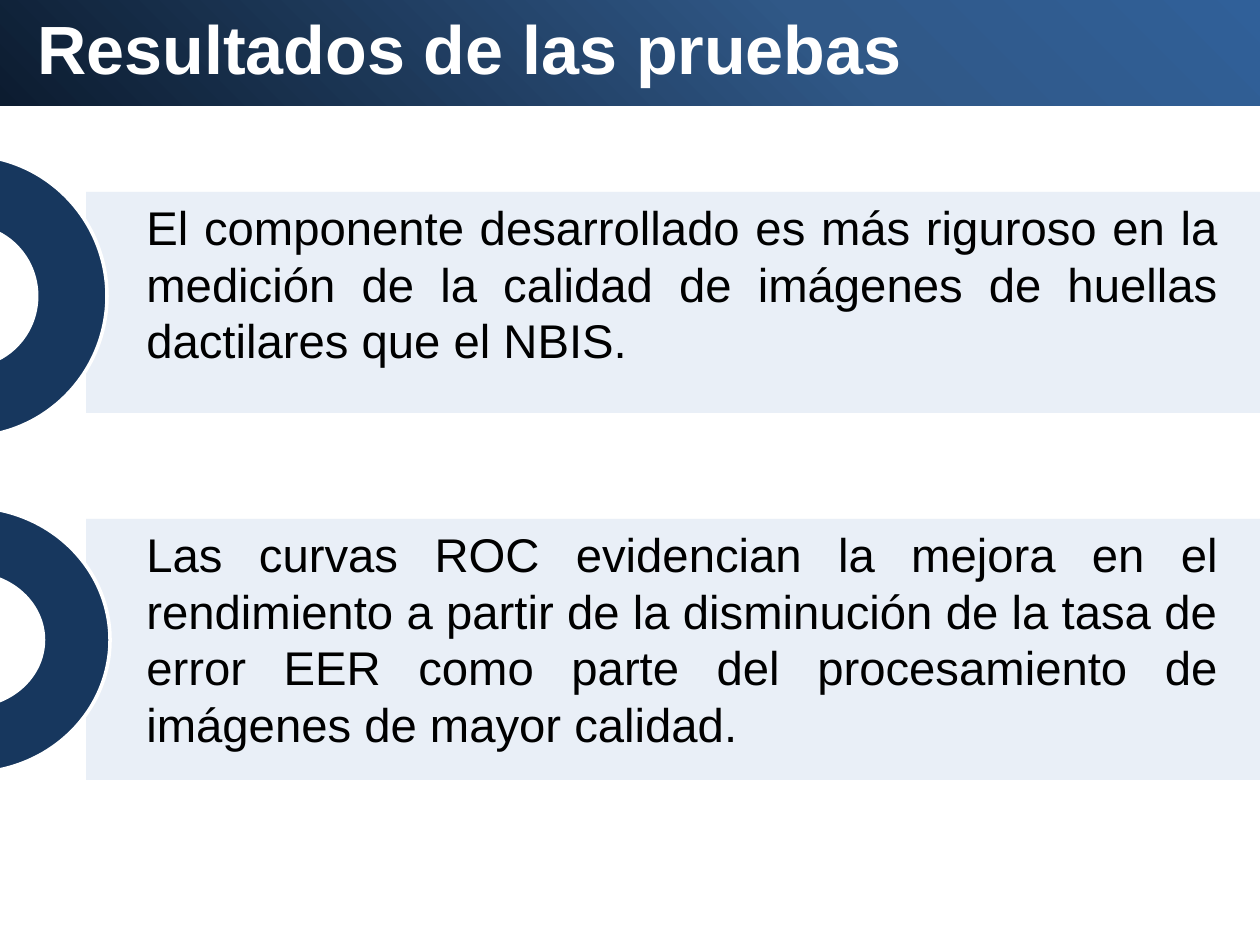
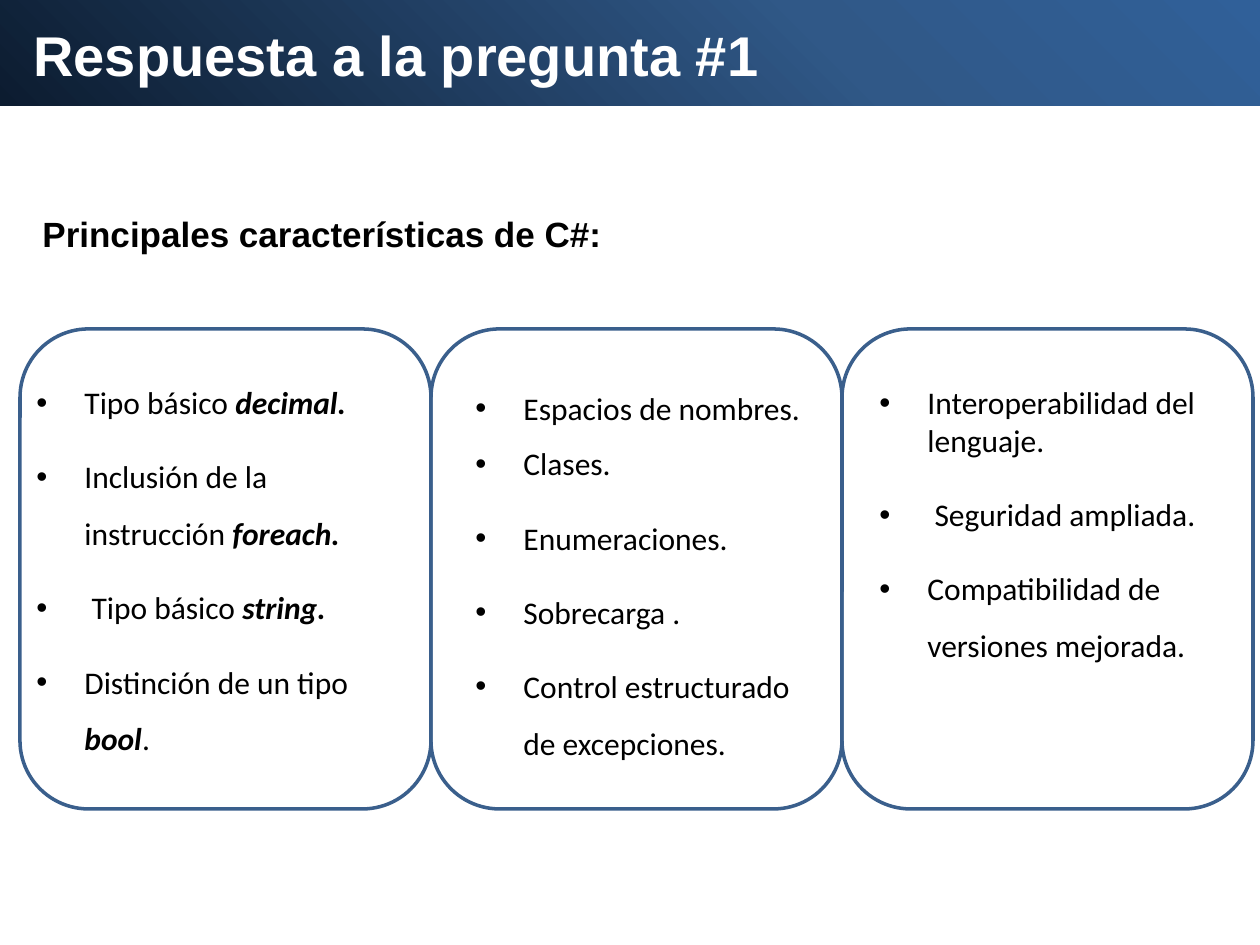
import pptx
import pptx.util
import pptx.dml.color
import pptx.enum.shapes
import pptx.enum.text
import pptx.oxml
import pptx.oxml.ns
import lxml.etree

PX = 914400 / 126
NAVY, PALE, EDGE = "17375E", "DCE6F2", "3A5F8C"
WHITE, BLACK = "FFFFFF", "000000"
GRADIENT = [(0, "0C1C30"), (65, "305887"), (100, "306099")]
rgb = pptx.dml.color.RGBColor.from_string
qn = pptx.oxml.ns.qn
MSO = pptx.enum.shapes.MSO_SHAPE
ALIGN = pptx.enum.text.PP_ALIGN


def add_shape(s, kind, at, fill=None, line=None):
    sp = s.shapes.add_shape(kind, *[round(v * PX) for v in at])
    sp.shadow.inherit = False
    if fill:
        sp.fill.solid()
        sp.fill.fore_color.rgb = rgb(fill)
    else:
        sp.fill.background()
    if line:
        sp.line.color.rgb = rgb(line)
        sp.line.width = pptx.util.Pt(2)
    else:
        sp.line.fill.background()
    return sp


def add_text(s, at, paragraphs, size, font="Arial", color=BLACK, bold=False,
             align=None, wrap=True, left=0, bullet=False, after=None):
    tf = s.shapes.add_textbox(*[round(v * PX) for v in at]).text_frame
    tf.word_wrap = wrap
    tf.auto_size = pptx.enum.text.MSO_AUTO_SIZE.SHAPE_TO_FIT_TEXT
    for i, (spacing, runs) in enumerate(paragraphs):
        p = tf.paragraphs[0] if i == 0 else tf.add_paragraph()
        p.alignment = align
        p.line_spacing = spacing
        if after:
            p.space_after = pptx.util.Pt(after)
        pPr = p._p.get_or_add_pPr()
        pPr.set("marL", str(round(left * PX)))
        pPr.set("indent", str(round(-48 * PX) if bullet else 0))
        if bullet:
            lxml.etree.SubElement(pPr, qn("a:buFont")).set("typeface", "Arial")
            lxml.etree.SubElement(pPr, qn("a:buChar")).set("char", "•")
        for j, text in enumerate(runs):
            r = p.add_run()
            r.text = text
            r.font.name = font
            r.font.size = pptx.util.Pt(size)
            r.font.color.rgb = rgb(color)
            r.font.bold = bold or j == 1
            r.font.italic = j == 1


prs = pptx.Presentation()
prs.slide_width = round(1260 * PX)
prs.slide_height = round(945 * PX)

titles = [
    ("Resultados de las pruebas", 39, (25, 0, 912, 96), True),
    ("Respuesta a la pregunta #1", 32, (21, 14, 756, 81), False),
]
stops = "".join(
    f'<a:gs pos="{pos * 1000}"><a:srgbClr val="{color}"/></a:gs>'
    for pos, color in GRADIENT
)
slides = []
for title, size, at, wrap in titles:
    s = prs.slides.add_slide(prs.slide_layouts[6])
    band = add_shape(s, MSO.RECTANGLE, (0, -10, 1260, 116), NAVY)
    solid = band._element.spPr.find(qn("a:solidFill"))
    solid.getparent().replace(solid, pptx.oxml.parse_xml(
        f'<a:gradFill {pptx.oxml.ns.nsdecls("a")} rotWithShape="1">'
        f'<a:gsLst>{stops}</a:gsLst><a:path path="circle">'
        '<a:fillToRect t="100000" r="100000"/></a:path></a:gradFill>'))
    add_text(s, at, [(None, [title])], size, color=WHITE, bold=True, wrap=wrap)
    slides.append(s)
results, answer = slides

findings = [
    (192, 221, (-174, 155, 281, 282), 184,
     "El componente desarrollado es más riguroso en la medición de la calidad "
     "de imágenes de huellas dactilares que el NBIS."),
    (519, 261, (-171, 507, 281, 266), 242,
     "Las curvas ROC evidencian la mejora en el rendimiento a partir de la "
     "disminución de la tasa de error EER como parte del procesamiento de "
     "imágenes de mayor calidad."),
]
for top, height, ring, text_height, text in findings:
    panel = add_shape(results, MSO.RECTANGLE, (86, top, 1218, height), PALE)
    clr = panel._element.spPr.find(qn("a:solidFill"))[0]
    lxml.etree.SubElement(clr, qn("a:alpha")).set("val", "61000")
    add_shape(results, MSO.DONUT, ring, NAVY, WHITE)
    add_text(results, (134, top, 1096, text_height), [(None, [text])], 27,
             align=ALIGN.JUSTIFY)

add_text(answer, (-39, 185, 659, 68),
         [(1.5, ["Principales características de C#:"])], 20, bold=True,
         align=ALIGN.JUSTIFY, wrap=False, left=69, after=10)

columns = [
    ((-45, 377, 449, 384), [
        (None, ["Tipo básico ", "decimal."]),
        (1.5, ["Inclusión de la instrucción ", "foreach."]),
        (1.5, [" Tipo básico ", "string."]),
        (1.5, ["Distinción de un tipo ", "bool", "."]),
    ]),
    ((394, 364, 428, 408), [
        (1.5, ["Espacios de nombres."]),
        (None, ["Clases."]),
        (1.5, ["Enumeraciones."]),
        (1.5, ["Sobrecarga ."]),
        (1.5, ["Control estructurado de excepciones."]),
    ]),
    ((798, 377, 432, 433), [
        (None, ["Interoperabilidad del lenguaje."]),
        (1.5, [" Seguridad ampliada."]),
        (1.5, ["Compatibilidad de versiones mejorada."]),
    ]),
]
for i, (at, features) in enumerate(columns):
    add_shape(answer, MSO.ROUNDED_RECTANGLE, (20 + 411 * i, 329, 411, 480),
              line=EDGE)
    add_text(answer, at, features, 18, font="Calibri", left=117, bullet=True,
             after=10)

prs.save("out.pptx")
